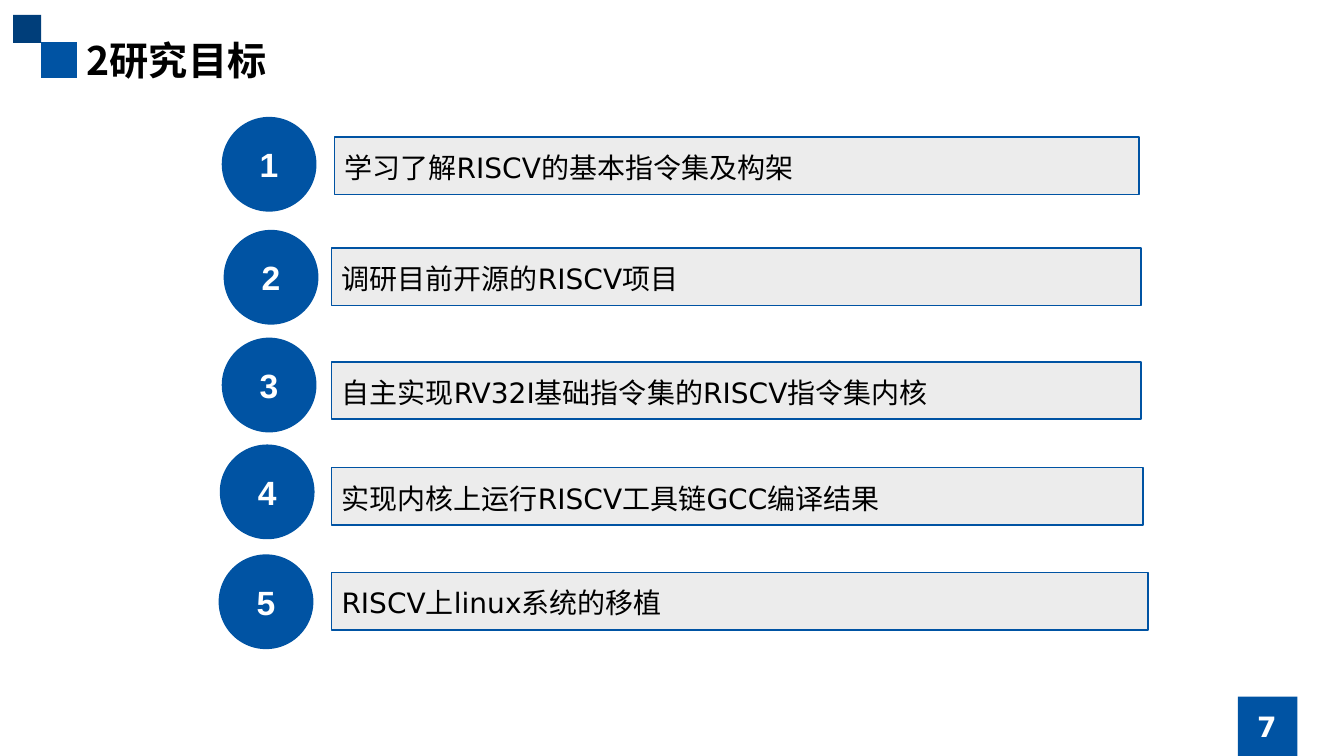
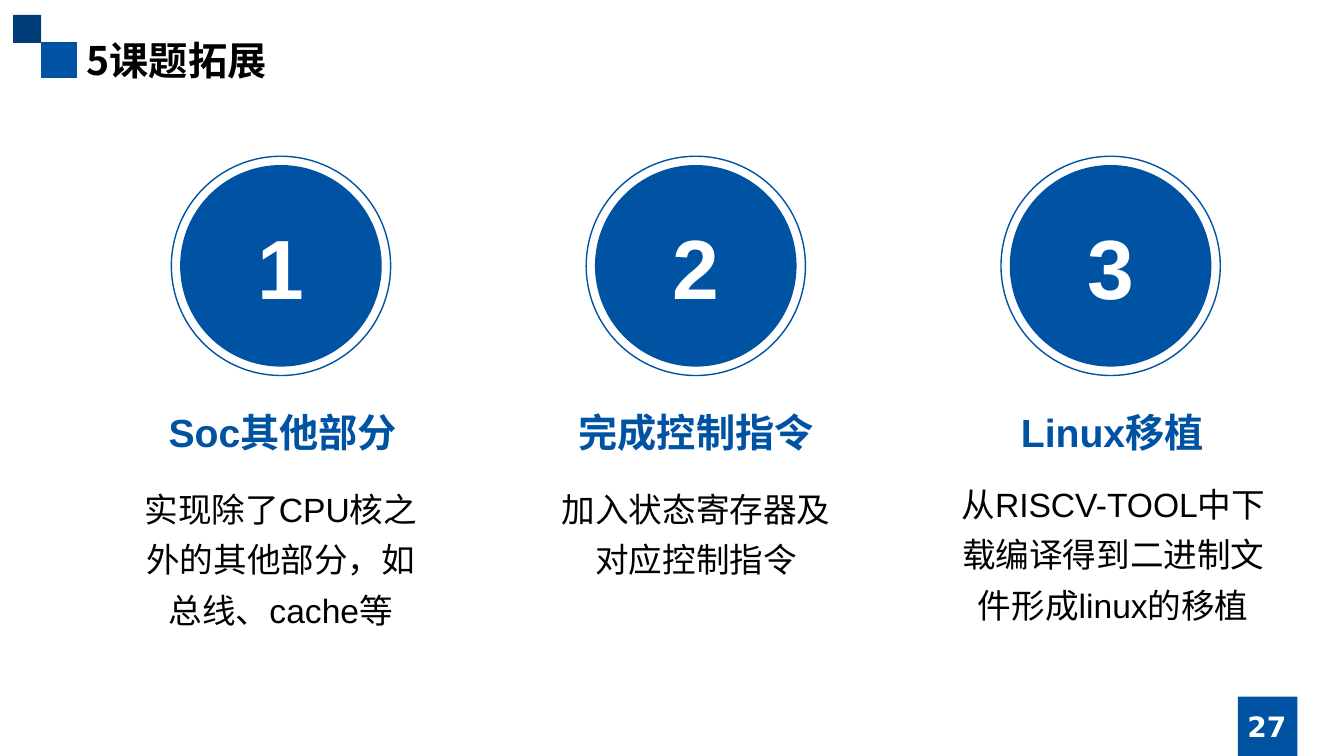
from dataclasses import dataclass

from lxml import etree
from pptx import Presentation
from pptx.dml.color import RGBColor
from pptx.enum.shapes import MSO_SHAPE
from pptx.enum.text import MSO_ANCHOR, MSO_AUTO_SIZE, PP_ALIGN
from pptx.oxml.ns import qn
from pptx.util import Pt

RECT, OVAL = MSO_SHAPE.RECTANGLE, MSO_SHAPE.OVAL
LEFT, MID = PP_ALIGN.LEFT, PP_ALIGN.CENTER
TOP, CENTER = MSO_ANCHOR.TOP, MSO_ANCHOR.MIDDLE
FIXED = MSO_AUTO_SIZE.NONE


@dataclass(frozen=True)
class Theme:
    """Colours, fonts and type sizes of the deck."""
    blue: RGBColor = RGBColor(0x00, 0x53, 0xA3)
    navy: RGBColor = RGBColor(0x00, 0x3E, 0x7A)
    gray: RGBColor = RGBColor(0xEC, 0xEC, 0xEC)
    black: RGBColor = RGBColor(0x00, 0x00, 0x00)
    white: RGBColor = RGBColor(0xFF, 0xFF, 0xFF)
    han: str = "Noto Sans CJK SC"
    sans: str = "Arial"
    wide: str = "DejaVu Sans"
    head: int = 28
    body: int = 24
    item: int = 20
    huge: int = 60


T = Theme()


def draw(slide, kind, box, fill=None, line=None):
    """Add a flat preset shape; box is left, top, width, height in points."""
    shape = slide.shapes.add_shape(kind, *map(Pt, box))
    shape.shadow.inherit = False
    if fill is None:
        shape.fill.background()
    else:
        shape.fill.solid()
        shape.fill.fore_color.rgb = fill
    if line is None:
        shape.line.fill.background()
    else:
        shape.line.color.rgb = line
        shape.line.width = Pt(1)
    return shape


def write(shape, text, size, font, color, bold=False, align=MID,
          anchor=TOP, space=1.0):
    """Set one styled paragraph in a shape."""
    frame = shape.text_frame
    frame.word_wrap = True
    frame.auto_size = FIXED
    frame.vertical_anchor = anchor
    para = frame.paragraphs[0]
    para.alignment = align
    para.line_spacing = space
    run = para.add_run()
    run.text = text
    run.font.size = Pt(size)
    run.font.bold = bold
    run.font.color.rgb = color
    run.font.name = font
    east = etree.SubElement(run.font._element, qn("a:ea"))
    east.set("typeface", T.han)


deck = Presentation()
deck.slide_width, deck.slide_height = Pt(960), Pt(540)
layout = deck.slide_layouts[5]

# Titles and page numbers
slides = []
for name, page in (("2研究目标", "7"), ("5课题拓展", "27")):
    slide = deck.slides.add_slide(layout)
    title = slide.shapes.title
    title.left, title.top = Pt(54.7), Pt(22.3)
    title.width, title.height = Pt(850.3), Pt(41)
    write(title, name, T.head, T.han, T.black, True, LEFT)
    num = slide.shapes.add_textbox(Pt(850.3), Pt(504.7), Pt(109.4), Pt(28.8))
    write(num, page, T.item, T.wide, T.white, True, anchor=CENTER)
    slides.append(slide)
goals, plans = slides

# Corner squares, moved to the shared layout
for left, top, side, fill in ((29.4, 30.2, 25.5, T.blue),
                              (9.4, 10.6, 20, T.navy),
                              (884.2, 497.5, 42.5, T.blue)):
    square = draw(goals, RECT, (left, top, side, side), fill)
    layout.shapes.element.append(square.element)

# Goals: numbered dot, then bar with text
rows = (
    (158.4, 83.5, 239, 97.9, 574.6, "学习了解RISCV的基本指令集及构架"),
    (159.8, 164.2, 236.9, 177.1, 578.2, "调研目前开源的RISCV项目"),
    (158.4, 241.2, 236.9, 258.5, 578.2, "自主实现RV32I基础指令集的RISCV指令集内核"),
    (157, 317.5, 236.9, 334.1, 579.6, "实现内核上运行RISCV工具链GCC编译结果"),
    (156.2, 396, 236.9, 409, 583.2, "RISCV上linux系统的移植"),
)
for rank, (dot_x, dot_y, bar_x, bar_y, width, text) in enumerate(rows, 1):
    dot = draw(goals, OVAL, (dot_x, dot_y, 67.7, 67.7), T.blue)
    write(dot, str(rank), T.body, T.sans, T.white, True, anchor=CENTER)
    bar = draw(goals, RECT, (bar_x, bar_y, width, 41), T.gray, T.blue)
    write(bar, text, T.item, T.wide, T.black, align=LEFT, space=1.25)

# Plans: ringed disc, heading and caption in three columns
RING, DISC, STEP = 156.6, 144, 296.3
GAP = (RING - DISC) / 2
cols = (
    ("Soc其他部分", (108.7, 288, 186.5, 41),
     "实现除了CPU核之外的其他部分，如总线、cache等", (94.3, 338.4, 212.4, 113)),
    ("完成控制指令", (391, 288, 212.4, 41),
     "加入状态寄存器及对应控制指令", (391, 338.4, 212.4, 76.3)),
    ("Linux移植", (685.4, 288, 218.2, 41),
     "从RISCV-TOOL中下载编译得到二进制文件形成linux的移植",
     (678.2, 334.8, 234, 112.3)),
)
for i, (head, head_box, note, note_box) in enumerate(cols):
    left, top = 122.4 + i * STEP, 111.6
    disc = draw(plans, OVAL, (left + GAP, top + GAP, DISC, DISC), T.blue)
    write(disc, str(i + 1), T.huge, T.sans, T.white, True, anchor=CENTER)
    draw(plans, OVAL, (left, top, RING, RING), line=T.blue)
    label = plans.shapes.add_textbox(*map(Pt, head_box))
    write(label, head, T.head, T.sans, T.blue, True)
    body = plans.shapes.add_textbox(*map(Pt, note_box))
    write(body, note, T.body, T.sans, T.black, space=1.25)

deck.save("out.pptx")
